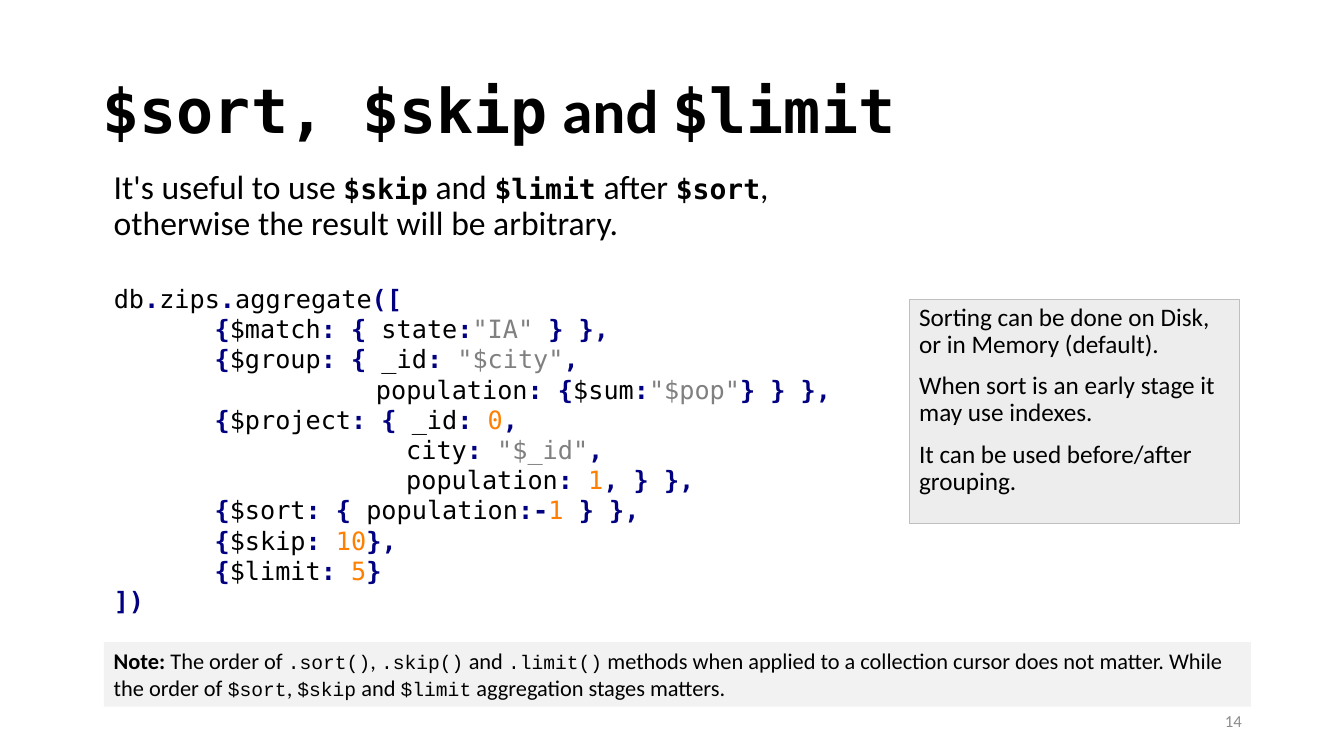
import itertools

import pptx
import pptx.dml.color
import pptx.enum.shapes
import pptx.enum.text
import pptx.util

RGBColor = pptx.dml.color.RGBColor
ALIGN = pptx.enum.text.PP_ALIGN
ANCHOR = pptx.enum.text.MSO_ANCHOR

BLACK = RGBColor(0x00, 0x00, 0x00)
WHITE = RGBColor(0xFF, 0xFF, 0xFF)
NAVY = RGBColor(0x00, 0x00, 0x80)
GREY = RGBColor(0x80, 0x80, 0x80)
ORANGE = RGBColor(0xFF, 0x80, 0x00)
NOTE_FILL = RGBColor(0xF2, 0xF2, 0xF2)
SIDE_FILL = RGBColor(0xED, 0xED, 0xED)
SIDE_LINE = RGBColor(0xBF, 0xBF, 0xBF)
NUMBER_GREY = RGBColor(0x8C, 0x8C, 0x8C)

SANS, MONO, COURIER = "Calibri", "DejaVu Sans Mono", "Courier New"
COLUMNS, ROWS = 40, 30

# Query lines, each with its indent in inches
QUERY = [
    (0, 'db.zips.aggregate(['),
    (1, '{$match: { state:"IA" } },'),
    (1, '{$group: { _id: "$city",'),
    (2.6, 'population: {$sum:"$pop"} } },'),
    (1, '{$project: { _id: 0,'),
    (2.9, 'city: "$_id",'),
    (2.9, 'population: 1, } },'),
    (1, '{$sort: { population:-1 } },'),
    (1, '{$skip: 10},'),
    (1, '{$limit: 5}'),
    (0, '])'),
]
SIDE_NOTES = [
    "Sorting can be done on Disk, or in Memory (default).",
    "When sort is an early stage it may use indexes.",
    "It can be used before/after grouping.",
]


def write(p, text, size=18, font=SANS, color=BLACK, bold=False):
    """Add one formatted run to a paragraph."""
    r = p.add_run()
    r.text = text
    r.font.size = pptx.util.Pt(size)
    r.font.name = font
    r.font.bold = bold
    r.font.color.rgb = color


def write_mixed(p, text, prose, code):
    """Write text whose parts between backticks take the code format."""
    for i, part in enumerate(text.split("`")):
        if part:
            write(p, part, **(code if i % 2 else prose))


def code_color(char):
    if char in "{}()[].,:-":
        return NAVY
    return ORANGE if char.isdigit() else BLACK


def write_code(p, line):
    """Write one line of code with syntax colours."""
    for i, part in enumerate(line.split('"')):
        if i % 2:
            write(p, f'"{part}"', font=MONO, color=GREY)
            continue
        for color, chars in itertools.groupby(part, code_color):
            write(p, "".join(chars), font=MONO, color=color, bold=color == NAVY)


class Deck:
    """Holds the presentation, its grid and the current slide."""

    def __init__(self):
        self.prs = pptx.Presentation()
        self.prs.slide_width = pptx.util.Inches(13.33)
        self.prs.slide_height = pptx.util.Inches(7.5)
        self.s = self.prs.slides.add_slide(self.prs.slide_layouts[6])
        self.s.background.fill.solid()
        self.s.background.fill.fore_color.rgb = WHITE

    def place(self, col, row, cols, rows):
        dx = self.prs.slide_width / COLUMNS
        dy = self.prs.slide_height / ROWS
        return [round(v) for v in (col * dx, row * dy, cols * dx, rows * dy)]

    def text(self, *grid, anchor=ANCHOR.TOP):
        tf = self.s.shapes.add_textbox(*self.place(*grid)).text_frame
        tf.word_wrap = True
        tf.vertical_anchor = anchor
        return tf

    def panel(self, *grid, fill, line=None):
        kind = pptx.enum.shapes.MSO_SHAPE.RECTANGLE
        sp = self.s.shapes.add_shape(kind, *self.place(*grid))
        sp.shadow.inherit = False
        sp.fill.solid()
        sp.fill.fore_color.rgb = fill
        if line is None:
            sp.line.fill.background()
        else:
            sp.line.color.rgb = line
            sp.line.width = pptx.util.Pt(0.75)
        tf = sp.text_frame
        tf.word_wrap = True
        tf.vertical_anchor = ANCHOR.TOP
        return tf

    def paragraph(self, tf, first, align=ALIGN.LEFT, spacing=1.0, before=0, indent=0):
        p = tf.paragraphs[0] if first else tf.add_paragraph()
        p.alignment = align
        p.line_spacing = spacing
        p.space_before = pptx.util.Pt(before)
        if indent:
            pPr = p._p.get_or_add_pPr()
            pPr.set("marL", str(pptx.util.Inches(indent)))
            pPr.set("indent", "0")
        return p


def main():
    deck = Deck()

    # Title
    tf = deck.text(2.76, 1.6, 34.5, 5.8, anchor=ANCHOR.MIDDLE)
    p = deck.paragraph(tf, True, spacing=0.9)
    write_mixed(p, "`$sort, $skip` and `$limit`",
                prose=dict(size=44, bold=True),
                code=dict(size=44, font=MONO, bold=True))

    # Introduction
    tf = deck.text(3.09, 6.56, 22.35, 4.8)
    p = deck.paragraph(tf, True, spacing=0.9, before=10)
    write_mixed(p, "It's useful to use `$skip` and `$limit` after `$sort`, "
                "otherwise the result will be arbitrary.",
                prose=dict(size=24), code=dict(size=20, font=MONO, bold=True))

    # Query
    tf = deck.text(3.09, 11.04, 27.45, 13.72)
    for i, (indent, line) in enumerate(QUERY):
        write_code(deck.paragraph(tf, i == 0, indent=indent), line)

    # Note on order
    tf = deck.panel(3.09, 25.48, 34.14, 2.56, fill=NOTE_FILL)
    p = deck.paragraph(tf, True)
    write(p, "Note: ", size=16, bold=True)
    write_mixed(p, "The order of `.sort()`, `.skip()` and `.limit()` methods when "
                "applied to a collection cursor does not matter. While the order of "
                "`$sort`, `$skip` and `$limit` aggregation stages matters.",
                prose=dict(size=16), code=dict(size=14, font=COURIER))

    # Slide number
    tf = deck.text(28.26, 27.8, 9, 1.6, anchor=ANCHOR.MIDDLE)
    write(deck.paragraph(tf, True, align=ALIGN.RIGHT), "14", size=12, color=NUMBER_GREY)

    # Side notes
    tf = deck.panel(27.06, 11.88, 9.84, 8.88, fill=SIDE_FILL, line=SIDE_LINE)
    for i, note in enumerate(SIDE_NOTES):
        write(deck.paragraph(tf, i == 0, spacing=0.9, before=10), note)

    deck.prs.save("out.pptx")


if __name__ == "__main__":
    main()
